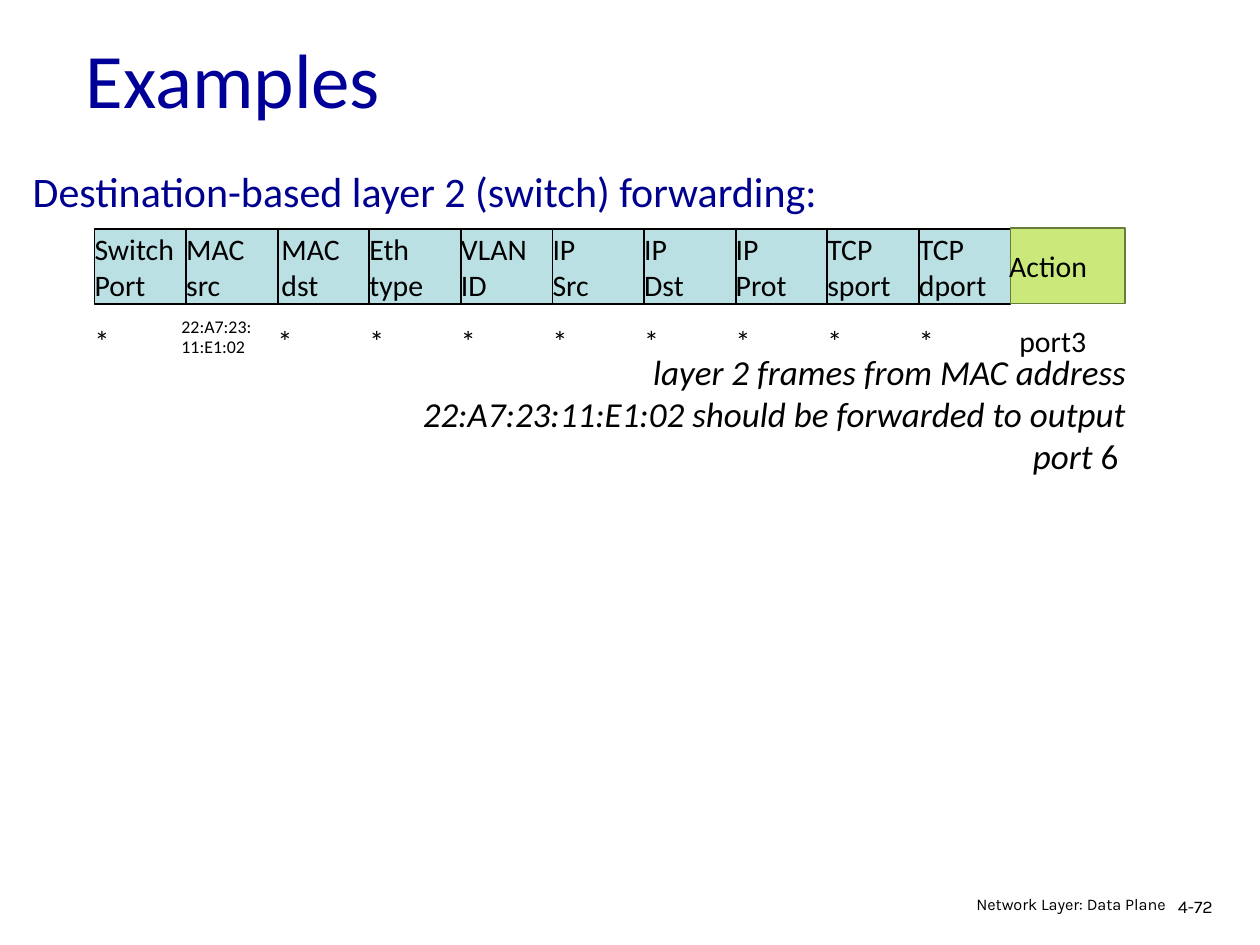
from pptx import Presentation
from pptx import util as u
from pptx.dml.color import RGBColor
from pptx.enum import shapes, text

BLACK = RGBColor(0x00, 0x00, 0x00)
NAVY = RGBColor(0x00, 0x00, 0x90)
TITLE_BLUE = RGBColor(0x00, 0x00, 0x99)
PALE_TEAL = RGBColor(0xBB, 0xE0, 0xE3)
LIME = RGBColor(0xCB, 0xE9, 0x7B)
OLIVE = RGBColor(0x69, 0x7D, 0x3A)

WIDTH, HEIGHT = u.Inches(10), u.Inches(7.5)
# Flow table grid, in percent of the slide's width
TABLE_LEFT, COLUMN = 7.5, 7.27
FIELDS = ["Switch\nPort", "MAC\nsrc", "MAC\ndst", "Eth\ntype", "VLAN\nID",
          "IP\nSrc", "IP\nDst", "IP\nProt", "TCP\nsport", "TCP\ndport"]
MAC_SOURCE, MAC_DESTINATION = 1, 2


class SlideBuilder:
    """Style and current slide; boxes are percents of the slide's size."""

    body = dict(name="Calibri", size=u.Pt(17))
    footer = dict(name="Karla")

    def __init__(self, slide):
        self.slide = slide

    def place(self, box):
        left, top, width, height = box
        return [round(share * side / 100) for share, side in
                ((left, WIDTH), (top, HEIGHT), (width, WIDTH), (height, HEIGHT))]

    def style_run(self, run, color=BLACK, **font_values):
        for key, value in {**self.body, **font_values}.items():
            setattr(run.font, key, value)
        run.font.color.rgb = color

    def fill_text(self, shape, content, color=BLACK, align=text.PP_ALIGN.LEFT,
                  spacing=1.0, margins=(0, 0), wrap=True,
                  anchor=text.MSO_ANCHOR.MIDDLE, **font_values):
        frame = shape.text_frame
        side, edge = (u.Inches(margin) for margin in margins)
        frame_values = dict(
            text=content, word_wrap=wrap, vertical_anchor=anchor,
            auto_size=text.MSO_AUTO_SIZE.NONE, margin_left=side,
            margin_right=side, margin_top=edge, margin_bottom=edge)
        for key, value in frame_values.items():
            setattr(frame, key, value)
        for paragraph in frame.paragraphs:
            paragraph.alignment, paragraph.line_spacing = align, spacing
            for run in paragraph.runs:
                self.style_run(run, color, **font_values)
        return shape

    def title(self, box, content, **style):
        title = self.slide.shapes.title
        title.left, title.top, title.width, title.height = self.place(box)
        return self.fill_text(title, content, **style)

    def label(self, box, content, **style):
        shape = self.slide.shapes.add_textbox(*self.place(box))
        return self.fill_text(shape, content, **style)

    def cell(self, box, fill, line):
        shape = self.slide.shapes.add_shape(
            shapes.MSO_SHAPE.RECTANGLE, *self.place(box))
        shape.shadow.inherit = False
        shape.fill.solid()
        shape.fill.fore_color.rgb = fill
        shape.line.color.rgb = line
        shape.line.width = u.Pt(1)

    def footer_label(self, box, content, **style):
        self.label(box, content, margins=(0.1, 0.05),
                   anchor=text.MSO_ANCHOR.TOP, **self.footer, **style)


def main():
    presentation = Presentation()
    presentation.slide_width, presentation.slide_height = WIDTH, HEIGHT
    builder = SlideBuilder(
        presentation.slides.add_slide(presentation.slide_layouts[5]))

    # Title and heading
    builder.title((5.8, -0.13, 30.7, 16.67), "Examples", color=TITLE_BLUE,
                  size=u.Pt(44), margins=(0.1, 0.05))
    builder.label((2.6, 17.47, 71.9, 5.33),
                  "Destination-based layer 2 (switch) forwarding:",
                  color=NAVY, size=u.Pt(24), wrap=False)

    # Match fields with their values below
    for index, field in enumerate(FIELDS):
        left = TABLE_LEFT + index * COLUMN
        indent = 0.3 if index == MAC_DESTINATION else 0
        builder.cell((left, 24.27, COLUMN, 7.87), PALE_TEAL, BLACK)
        builder.label((left + indent, 24, COLUMN - indent, 8.4), field)
        if index == MAC_SOURCE:
            builder.label((left - 0.37, 33.47, COLUMN, 4.53),
                          "22:A7:23:\n11:E1:02", size=u.Pt(10.2), spacing=0.9)
        else:
            builder.label((left, 33.73, COLUMN, 4.67), "*")

    # Action column
    builder.cell((80.2, 24.13, 9.1, 8), LIME, OLIVE)
    builder.label((80.1, 25.73, 9.2, 4.67), "Action")
    builder.label((80.9, 33.73, 7.2, 4.67), "port3")

    # Explanation, with the port number upright
    note = builder.label(
        (30.8, 37.07, 58.6, 13.33),
        "layer 2 frames from MAC address 22:A7:23:11:E1:02 "
        "should be forwarded to output port ",
        align=text.PP_ALIGN.RIGHT, size=u.Pt(20), italic=True)
    port = note.text_frame.paragraphs[0].add_run()
    port.text = "6 "
    builder.style_run(port, size=u.Pt(20), italic=False)

    # Footer
    builder.footer_label((92.5, 94.4, 6.1, 4), "4-72",
                         size=u.Pt(10.2), spacing=0.9)
    builder.footer_label((69.7, 94.4, 23.8, 3.47), "Network Layer: Data Plane",
                         size=u.Pt(9.3), spacing=0.8,
                         align=text.PP_ALIGN.RIGHT)

    presentation.save("out.pptx")


if __name__ == "__main__":
    main()
